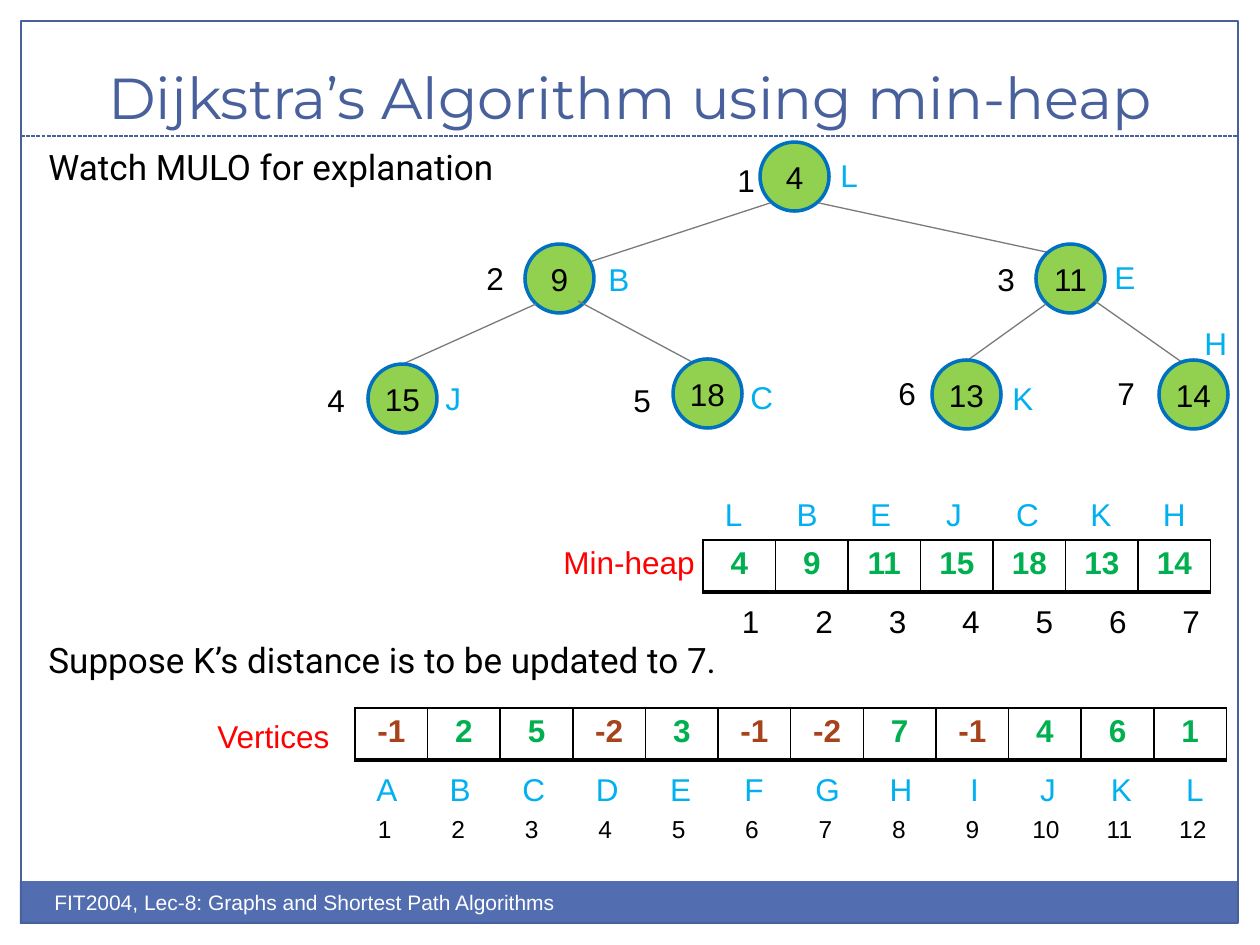
from lxml import etree
from pptx import Presentation
from pptx.dml.color import RGBColor
from pptx.enum.dml import MSO_LINE
from pptx.enum.shapes import MSO_CONNECTOR, MSO_SHAPE
from pptx.enum.text import MSO_ANCHOR, PP_ALIGN
from pptx.oxml.ns import qn
from pptx.util import Pt

SCALE = 914400 / 126
INK, BLUE, GREEN, RED, BROWN = "000000", "00B0F0", "00B050", "FF0000", "A6431A"
FRAME, BAND, WHITE = "48609B", "526DB0", "FFFFFF"

NODES = [
    # key, circle, index position, vertex, vertex position, edges
    ("4", (760, 142), (725, 155), "L", (828, 150), [(770, 203, 559, 272), (819, 203, 1060, 255)]),
    ("9", (525, 244), (474, 253), "B", (596, 254), [(536, 304, 403, 364), (578, 301, 707, 370)]),
    ("11", (1036, 244), (985, 254), "E", (1102, 252), [(1046, 304, 968, 360), (1095, 301, 1193, 370)]),
    ("15", (368, 364), (315, 375), "J", (433, 373), []),
    ("18", (673, 359), (621, 375), "C", (738, 372), []),
    ("13", (932, 360), (886, 368), "K", (1000, 373), []),
    ("14", (1159, 360), (1105, 368), "H", (1192, 318), []),
]
POSITIONS = ["-1", "2", "5", "-2", "3", "-1", "-2", "7", "-1", "4", "6", "1"]


def px(n):
    """Turn pixels into EMU."""
    return round(n * SCALE)


def rgb(color):
    """Turn a hex string into a colour."""
    return RGBColor.from_string(color)


def style(p, size, color, font="Arial", bold=False, align=PP_ALIGN.LEFT):
    """Format a paragraph and its runs."""
    p.alignment = align
    for r in p.runs:
        r.font.size, r.font.name, r.font.bold = Pt(size), font, bold
        r.font.color.rgb = rgb(color)


def add_text(s, text, x, y, w, h=50, size=18, color=INK, font="Arial",
             align=PP_ALIGN.LEFT, anchor=MSO_ANCHOR.TOP, before=0):
    """Add a one-paragraph text box."""
    tf = s.shapes.add_textbox(px(x), px(y), px(w), px(h)).text_frame
    tf.word_wrap, tf.vertical_anchor = True, anchor
    tf.text = text
    tf.paragraphs[0].space_before = Pt(before)
    style(tf.paragraphs[0], size, color, font, align=align)


def add_shape(s, kind, x, y, w, h, fill=None, line=None, width=0.75):
    """Add a preset shape with optional fill and outline."""
    sp = s.shapes.add_shape(kind, px(x), px(y), px(w), px(h))
    sp.shadow.inherit = False
    if fill:
        sp.fill.solid()
        sp.fill.fore_color.rgb = rgb(fill)
    else:
        sp.fill.background()
    if line:
        sp.line.color.rgb, sp.line.width = rgb(line), Pt(width)
    else:
        sp.line.fill.background()
    return sp


def add_line(s, x1, y1, x2, y2, color="7A7A7A", dash=None):
    """Add a thin straight line."""
    c = s.shapes.add_connector(MSO_CONNECTOR.STRAIGHT, px(x1), px(y1), px(x2), px(y2))
    c.line.color.rgb, c.line.width = rgb(color), Pt(0.75)
    if dash:
        c.line.dash_style = dash
    etree.SubElement(c._element.spPr, qn("a:effectLst"))


def add_node(s, key, circle, index, index_at, vertex, vertex_at, edges):
    """Add a heap node with its index, vertex and edges to its children."""
    sp = add_shape(s, MSO_SHAPE.OVAL, *circle, 69, 69, "92D050", "0070C0", 2)
    tf = sp.text_frame
    tf.margin_left = tf.margin_right = 0
    tf.word_wrap, tf.vertical_anchor = False, MSO_ANCHOR.MIDDLE
    tf.text = key
    style(tf.paragraphs[0], 18, INK, align=PP_ALIGN.CENTER)
    add_text(s, str(index), *index_at, 46)
    add_text(s, vertex, *vertex_at, 48, color=BLUE)
    for edge in edges:
        add_line(s, *edge)


def add_borders(cell):
    """Draw black cell borders with a heavier bottom."""
    pr = cell._tc.get_or_add_tcPr()
    for i, (side, width) in enumerate((("L", 1), ("R", 1), ("T", 1), ("B", 2))):
        ln = etree.Element(qn("a:ln" + side), w=str(Pt(width)))
        fill = etree.SubElement(ln, qn("a:solidFill"))
        etree.SubElement(fill, qn("a:srgbClr"), val=INK)
        pr.insert(i, ln)


def add_row(s, values, x, y, w, color=INK, size=18, boxed=False):
    """Add a one-row table, boxed with bold text or plain."""
    n = len(values)
    table = s.shapes.add_table(1, n, px(x), px(y), px(w), px(52)).table
    table.first_row = table.horz_banding = False
    for i, value in enumerate(values):
        table.columns[i].width = px(w) // n
        cell = table.cell(0, i)
        cell.fill.background()
        cell.text = value
        ink = BROWN if value.startswith("-") else color
        style(cell.text_frame.paragraphs[0], size, ink, bold=boxed, align=PP_ALIGN.CENTER)
        if boxed:
            add_borders(cell)


def add_frame(s):
    """Add the frame, title and footer."""
    add_shape(s, MSO_SHAPE.RECTANGLE, 20, 881, 1217, 43, BAND)
    add_shape(s, MSO_SHAPE.RECTANGLE, 21, 21, 1217, 902, line=FRAME)
    add_line(s, 21, 136, 1238, 136, FRAME, MSO_LINE.SQUARE_DOT)
    add_text(s, "Dijkstra’s Algorithm using min-heap", 42, 32, 1176, 105, 33, FRAME,
             "Montserrat", PP_ALIGN.CENTER, MSO_ANCHOR.BOTTOM)
    add_text(s, "FIT2004, Lec-8: Graphs and Shortest Path Algorithms", 42, 883, 630,
             size=12, color=WHITE)


def main():
    """Build the slide."""
    prs = Presentation()
    prs.slide_width, prs.slide_height = px(1260), px(945)
    s = prs.slides.add_slide(prs.slide_layouts[6])
    add_frame(s)
    add_text(s, "Watch MULO for explanation", 36, 139, 593, 145, 20, font="Roboto", before=4)
    add_text(s, "Suppose K’s distance is to be updated to 7.", 36, 632, 723, 145, 20,
             font="Roboto", before=4)
    for index, (key, circle, index_at, vertex, vertex_at, edges) in enumerate(NODES, 1):
        add_node(s, key, circle, index, index_at, vertex, vertex_at, edges)

    add_row(s, [node[3] for node in NODES], 697, 492, 514, BLUE)
    add_text(s, "Min-heap", 551, 537, 160, color=RED)
    add_row(s, [node[0] for node in NODES], 703, 540, 508, GREEN, boxed=True)
    add_row(s, [str(i + 1) for i in range(len(NODES))], 714, 599, 514)

    add_text(s, "Vertices", 205, 711, 144, color=RED)
    add_row(s, POSITIONS, 355, 708, 872, GREEN, boxed=True)
    add_row(s, list("ABCDEFGHIJKL"), 350, 767, 882, BLUE)
    add_row(s, [str(i + 1) for i in range(len(POSITIONS))], 348, 810, 882, size=14)
    prs.save("out.pptx")


if __name__ == "__main__":
    main()
